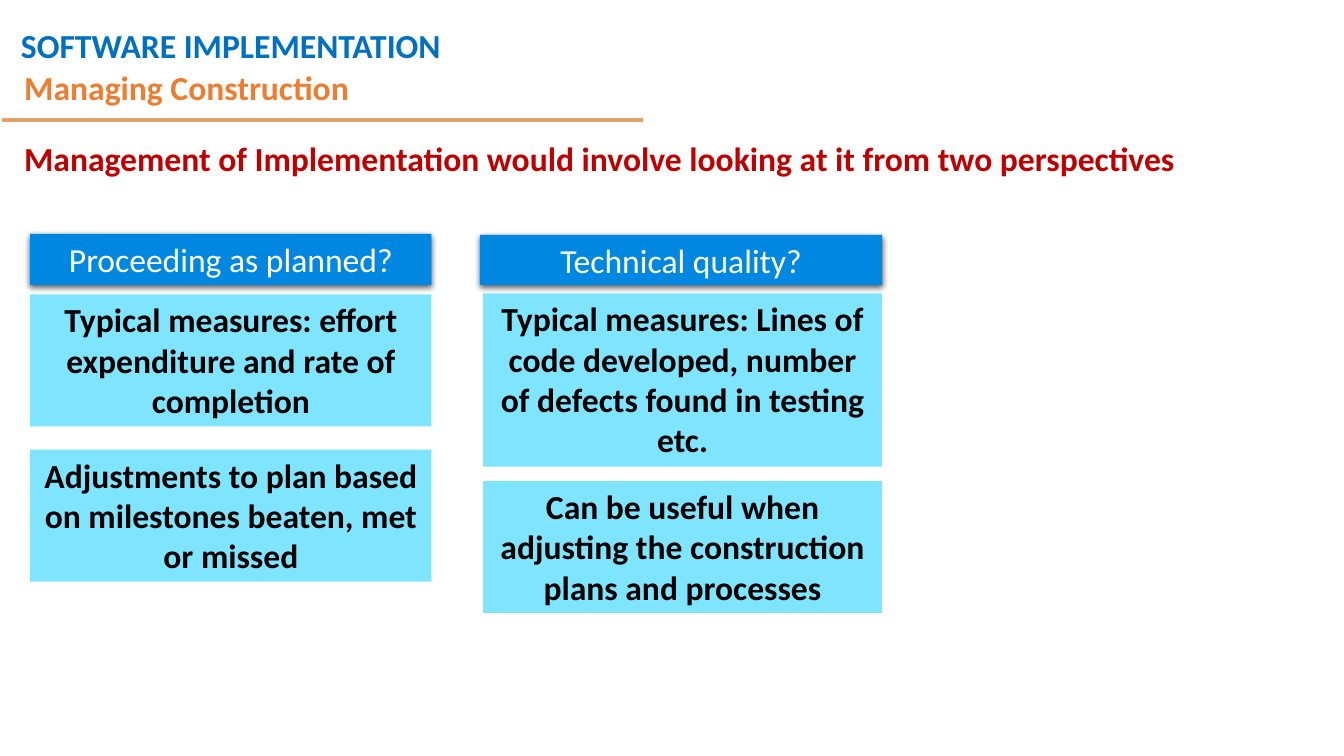
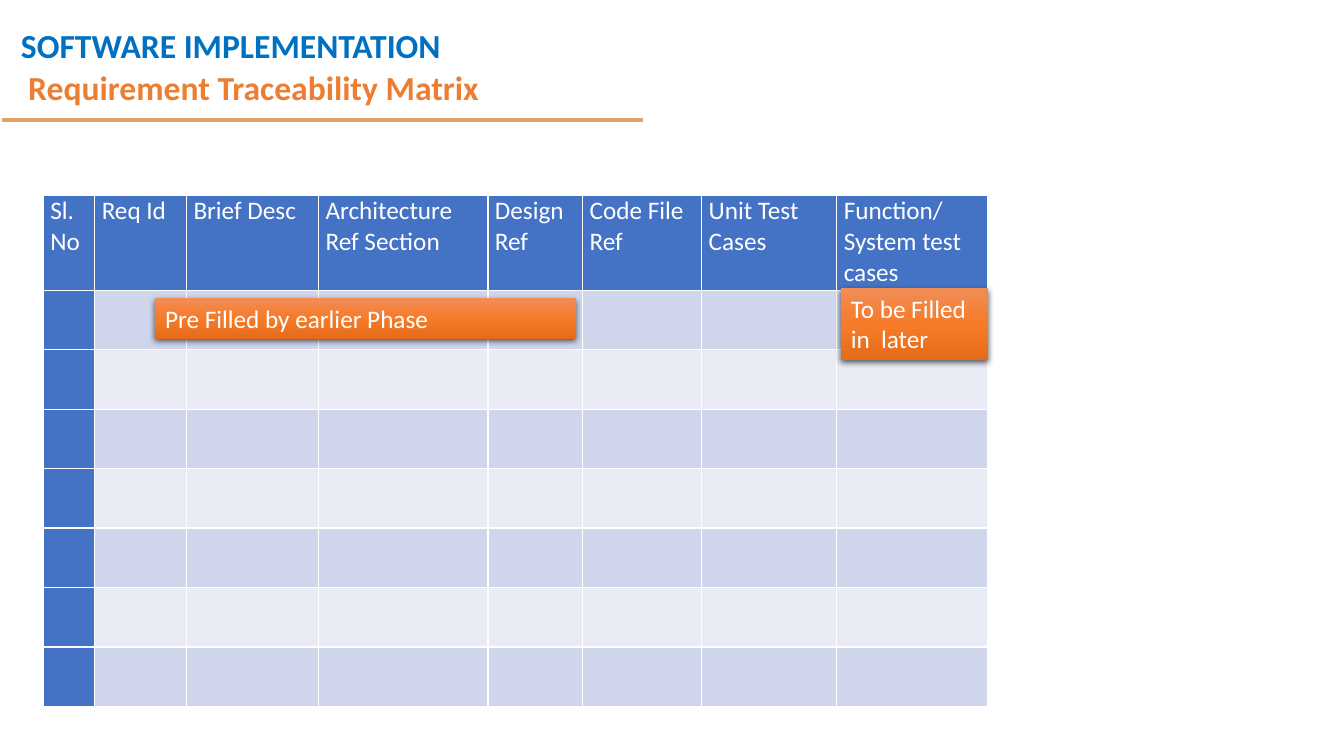
from dataclasses import dataclass
from copy import deepcopy
from lxml.etree import SubElement
from pptx import Presentation
from pptx.dml.color import RGBColor
from pptx.enum.shapes import MSO_CONNECTOR as Connector, MSO_SHAPE as Preset
from pptx.enum.text import MSO_ANCHOR as Anchor, MSO_AUTO_SIZE as AutoSize, PP_ALIGN as Align
from pptx.oxml.ns import qn
from pptx.presentation import Presentation as Deck
from pptx.shapes.autoshape import Shape
from pptx.slide import Slide
from pptx.table import _Cell as Cell
from pptx.text.text import TextFrame
from pptx.util import Inches, Pt

FONT = "Calibri"
WHITE, BLACK = "FFFFFF", "000000"
HEADING_BLUE, TITLE_ORANGE, RULE_TAN, LEAD_RED = "0070C0", "ED7D31", "DFA267", "C00000"
QUESTION_BLUE, ANSWER_CYAN = "0087E1", "00CCFF"
TABLE_BLUE, BAND_DARK, BAND_LIGHT = "4472C4", "CFD5EA", "E9EBF5"
NOTE_GRADIENT = ((0, "F18C57"), (0.5, "F67B28"), (1, "E56C19"))


@dataclass(frozen=True)
class Box:
    """A rectangle in inches."""
    left: float
    top: float
    width: float
    height: float

    def lengths(self) -> tuple[Inches, ...]:
        """Return the sides as lengths."""
        return tuple(Inches(side) for side in (self.left, self.top, self.width, self.height))


@dataclass(frozen=True)
class Panel:
    """A box with its wording."""
    text: str
    box: Box


@dataclass(frozen=True)
class Column:
    """A heading of the matrix and its width."""
    heading: str
    width: float


QUESTIONS = (
    Panel("Proceeding as planned?", Box(0.3, 2.32, 3.98, 0.51)),
    Panel("Technical quality?", Box(4.76, 2.33, 3.99, 0.5)),
)
ANSWERS = (
    Panel("Typical measures: effort expenditure and rate of completion", Box(0.3, 2.92, 3.98, 1.31)),
    Panel("Adjustments to plan based on milestones beaten, met or missed", Box(0.3, 4.46, 3.98, 1.31)),
    Panel("Typical measures: Lines of code developed, number of defects found in testing etc.",
          Box(4.79, 2.91, 3.96, 1.72)),
    Panel("Can be useful when adjusting the construction plans and processes", Box(4.79, 4.77, 3.96, 1.31)),
)
COLUMNS = (
    Column("Sl.\nNo", 0.51),
    Column("Req Id", 0.91),
    Column("Brief Desc", 1.31),
    Column("Architecture Ref Section", 1.68),
    Column("Design Ref", 0.94),
    Column("Code File Ref", 1.18),
    Column("Unit Test Cases", 1.34),
    Column("Function/\nSystem test cases", 1.5),
)
ROW_HEIGHTS = (0.94,) + (0.59,) * 7
NOTES = (
    Panel("Pre Filled by earlier Phase", Box(1.54, 2.96, 4.17, 0.4)),
    Panel("To be Filled  in  later", Box(8.34, 2.86, 1.46, 0.71)),
)


def rgb(value: str) -> RGBColor:
    """Turn a hex string into a colour."""
    return RGBColor.from_string(value)


def write(frame: TextFrame, text: str, *, color: str, size: float = 24, bold: bool = False,
          align: Align = Align.LEFT, spacing: float = 1.0, anchor: Anchor = Anchor.TOP,
          grow: bool = False) -> None:
    """Fill a text frame with one formatted paragraph."""
    frame.word_wrap = True
    frame.auto_size = AutoSize.SHAPE_TO_FIT_TEXT if grow else AutoSize.NONE
    frame.vertical_anchor = anchor
    paragraph = frame.paragraphs[0]
    paragraph.text = text
    paragraph.alignment = align
    paragraph.line_spacing = spacing
    for run in paragraph.runs:
        run.font.name = FONT
        run.font.size = Pt(size)
        run.font.bold = bold
        run.font.color.rgb = rgb(color)


def add_label(slide: Slide, label: Panel, **style) -> None:
    """Add a bold text box."""
    write(slide.shapes.add_textbox(*label.box.lengths()).text_frame, label.text, bold=True, **style)


def add_panel(slide: Slide, panel: Panel, **style) -> Shape:
    """Add a rectangle with text and neither line nor shadow."""
    shape = slide.shapes.add_shape(Preset.RECTANGLE, *panel.box.lengths())
    shape.shadow.inherit = False
    shape.line.fill.background()
    write(shape.text_frame, panel.text, grow=True, **style)
    return shape


def fill_solid(shape: Shape, color: str, opacity: float = 1) -> None:
    """Fill a shape with one colour, see-through below full opacity."""
    shape.fill.solid()
    shape.fill.fore_color.rgb = rgb(color)
    if opacity < 1:
        tint = shape.element.spPr.find(f"{qn('a:solidFill')}/{qn('a:srgbClr')}")
        SubElement(tint, qn("a:alpha"), val=str(round(opacity * 100000)))


def fill_gradient(shape: Shape, stops: tuple[tuple[float, str], ...]) -> None:
    """Fill a shape with a gradient that runs downwards."""
    shape.fill.gradient()
    shape.fill.gradient_angle = 270
    stop_list = shape.element.spPr.find(f"{qn('a:gradFill')}/{qn('a:gsLst')}")
    while len(stop_list) < len(stops):
        stop_list.append(deepcopy(stop_list[0]))
    for stop, (position, color) in zip(shape.fill.gradient_stops, stops):
        stop.position = position
        stop.color.rgb = rgb(color)


def drop_shadow(shape: Shape) -> None:
    """Give a shape a soft shadow below it."""
    shadow = SubElement(shape.element.spPr.find(qn("a:effectLst")), qn("a:outerShdw"),
                        blurRad=str(Pt(4.5)), dist=str(Pt(1.5)), dir="5400000", rotWithShape="0")
    tint = SubElement(shadow, qn("a:srgbClr"), val=BLACK)
    SubElement(tint, qn("a:alpha"), val="63000")


def add_titled_slide(deck: Deck, title: str, title_box: Box) -> Slide:
    """Add a slide with the shared heading, rule and title style."""
    slide = deck.slides.add_slide(deck.slide_layouts[5])
    add_label(slide, Panel("SOFTWARE IMPLEMENTATION", Box(0.11, 0, 5.58, 0.64)),
              color=HEADING_BLUE, spacing=1.5, grow=True)
    rule = slide.shapes.add_connector(Connector.STRAIGHT, Inches(0.02), Inches(1.19),
                                      Inches(6.38), Inches(1.19))
    rule.line.color.rgb = rgb(RULE_TAN)
    rule.line.width = Pt(3)
    SubElement(rule.element.spPr, qn("a:effectLst"))
    heading = slide.shapes.title
    heading.left, heading.top, heading.width, heading.height = title_box.lengths()
    write(heading.text_frame, title, color=TITLE_ORANGE, bold=True, spacing=0.9, anchor=Anchor.MIDDLE)
    return slide


def style_cell(cell: Cell, color: str) -> None:
    """Give a cell white borders and a fill."""
    properties = cell._tc.get_or_add_tcPr()
    for side in ("a:lnL", "a:lnR", "a:lnT", "a:lnB"):
        border = SubElement(properties, qn(side), w=str(Pt(1)))
        SubElement(SubElement(border, qn("a:solidFill")), qn("a:srgbClr"), val=WHITE)
    cell.fill.solid()
    cell.fill.fore_color.rgb = rgb(color)


def add_matrix(slide: Slide) -> None:
    """Add the traceability table with its empty banded rows."""
    box = Box(0.43, 1.94, sum(column.width for column in COLUMNS), sum(ROW_HEIGHTS))
    matrix = slide.shapes.add_table(len(ROW_HEIGHTS), len(COLUMNS), *box.lengths()).table
    matrix.first_row = matrix.horz_banding = False
    for row, height in zip(matrix.rows, ROW_HEIGHTS):
        row.height = Inches(height)
    for column_no, column in enumerate(COLUMNS):
        matrix.columns[column_no].width = Inches(column.width)
        for row_no in range(len(ROW_HEIGHTS)):
            band = BAND_DARK if row_no % 2 else BAND_LIGHT
            style_cell(matrix.cell(row_no, column_no), band if row_no and column_no else TABLE_BLUE)
        header = matrix.cell(0, column_no)
        header.margin_left = header.margin_right = Inches(0.07)
        header.margin_top = header.margin_bottom = 0
        write(header.text_frame, column.heading, color=WHITE, size=18)


def build_construction(deck: Deck) -> None:
    """Build the slide on managing construction."""
    slide = add_titled_slide(deck, "Managing Construction", Box(0.14, 0.58, 4.06, 0.61))
    lead = "Management of Implementation would involve looking at it from two perspectives"
    add_label(slide, Panel(lead, Box(0.14, 1.36, 11.79, 0.75)), color=LEAD_RED, spacing=0.9)
    for question in QUESTIONS:
        shape = add_panel(slide, question, color=WHITE, align=Align.CENTER)
        fill_solid(shape, QUESTION_BLUE)
        drop_shadow(shape)
    for answer in ANSWERS:
        shape = add_panel(slide, answer, color=BLACK, bold=True, align=Align.CENTER)
        fill_solid(shape, ANSWER_CYAN, opacity=0.5)


def build_traceability(deck: Deck) -> None:
    """Build the slide with the requirement matrix."""
    slide = add_titled_slide(deck, "Requirement Traceability Matrix", Box(0.18, 0.58, 11.5, 0.61))
    add_matrix(slide)
    for note in NOTES:
        shape = add_panel(slide, note, color=WHITE, size=18)
        fill_gradient(shape, NOTE_GRADIENT)
        drop_shadow(shape)


def main() -> None:
    """Build and save the presentation."""
    deck = Presentation()
    deck.slide_width, deck.slide_height = Inches(13.33), Inches(7.5)
    build_construction(deck)
    build_traceability(deck)
    deck.save("out.pptx")


if __name__ == "__main__":
    main()
